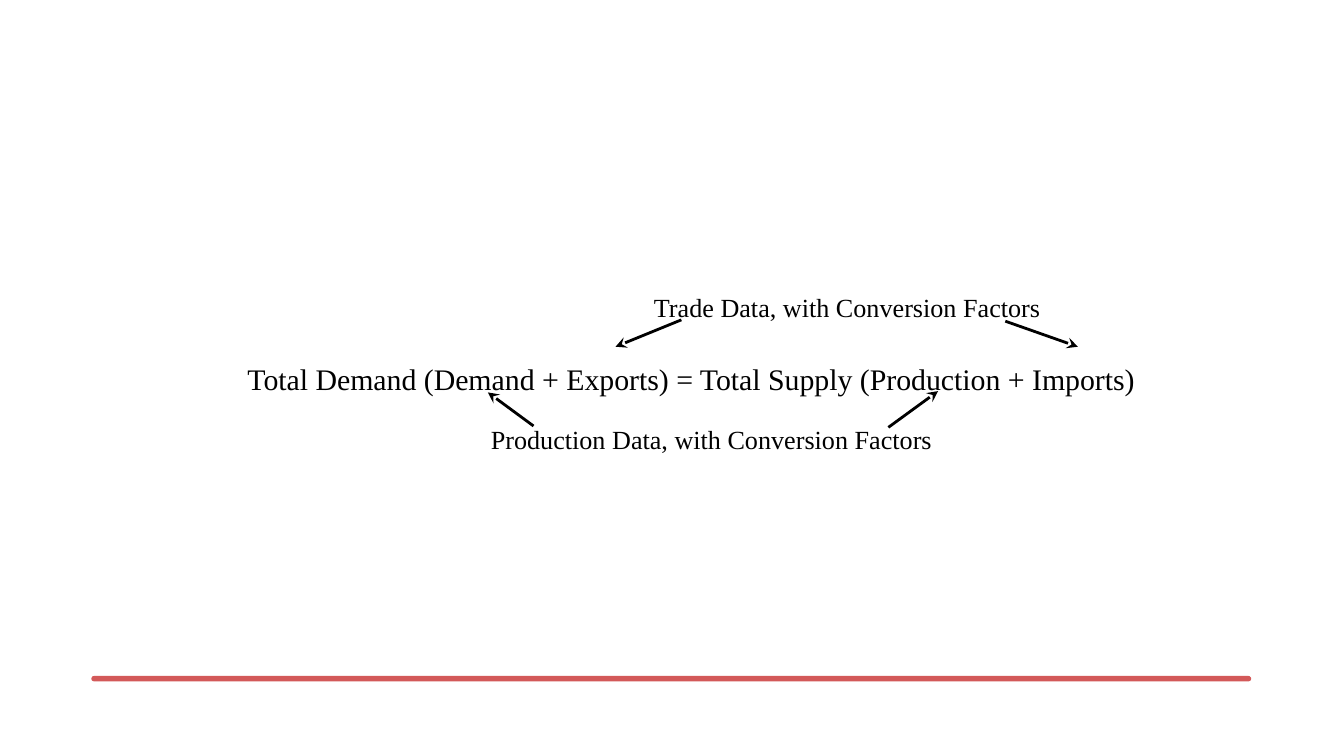
from lxml import etree
from pptx import Presentation
from pptx import util as u
from pptx.dml.color import RGBColor
from pptx.enum import shapes, text
from pptx.oxml.ns import qn

BLACK = RGBColor(0x00, 0x00, 0x00)
RED = RGBColor(0xD3, 0x59, 0x59)
FONT = "Times New Roman"
WIDTH = u.Inches(10)
HEIGHT = WIDTH * 9 // 16
COLUMNS, ROWS = 100, 56.25


def col(n):
    return round(WIDTH * n / COLUMNS)


def row(n):
    return round(HEIGHT * n / ROWS)


def add_rule(s, left, top, width, height):
    sp = s.shapes.add_shape(shapes.MSO_SHAPE.ROUNDED_RECTANGLE,
                            col(left), row(top), col(width), row(height))
    sp.adjustments[0] = 0.5
    sp.shadow.inherit = False
    sp.fill.solid()
    sp.fill.fore_color.rgb = RED
    sp.line.fill.background()


def add_label(s, words, left, top, width, height, size, inset_x, inset_y):
    sp = s.shapes.add_textbox(col(left), row(top), col(width), row(height))
    tf = sp.text_frame
    tf.word_wrap = True
    tf.margin_left = tf.margin_right = col(inset_x)
    tf.margin_top = tf.margin_bottom = row(inset_y)
    p = tf.paragraphs[0]
    p.text = words
    p.alignment = text.PP_ALIGN.CENTER
    p.font.name = FONT
    p.font.size = u.Pt(size)
    p.font.color.rgb = BLACK
    return sp


def add_equation(s, words, *place):
    sp = add_label(s, words, *place, 16, 0.7, 0.4)
    p = sp.text_frame.paragraphs[0]
    p.line_spacing = 1.15
    p.space_before = u.Pt(8)


def add_caption(s, words, *place):
    sp = add_label(s, words, *place, 14, 1, 1)
    sp.text_frame.auto_size = text.MSO_AUTO_SIZE.SHAPE_TO_FIT_TEXT


def add_arrow(s, start, end):
    sp = s.shapes.add_connector(shapes.MSO_CONNECTOR.STRAIGHT,
                                col(start[0]), row(start[1]),
                                col(end[0]), row(end[1]))
    sp.line.color.rgb = BLACK
    sp.line.width = u.Pt(1.5)
    etree.SubElement(sp.line._get_or_add_ln(), qn("a:tailEnd"), type="stealth")
    etree.SubElement(sp._element.spPr, qn("a:effectLst"))


def main():
    prs = Presentation()
    prs.slide_width, prs.slide_height = WIDTH, HEIGHT
    s = prs.slides.add_slide(prs.slide_layouts[6])
    add_rule(s, 6.8, 50.3, 86.3, 0.4)
    add_equation(s, "Total Demand (Demand + Exports) = Total Supply (Production + Imports)",
                 2.1, 26.05, 98.7, 3.7)
    add_caption(s, "Production Data, with Conversion Factors", 33.5, 30.5, 38.9, 4.4)
    add_caption(s, "Trade Data, with Conversion Factors", 44, 20.7, 38.1, 4.4)
    for start, end in (
        ((39.7, 31.7), (36.3, 29.2)),
        ((66.1, 31.8), (69.8, 29.1)),
        ((50.7, 23.8), (45.8, 25.8)),
        ((74.8, 23.9), (80.2, 25.8)),
    ):
        add_arrow(s, start, end)
    prs.save("out.pptx")


if __name__ == "__main__":
    main()
